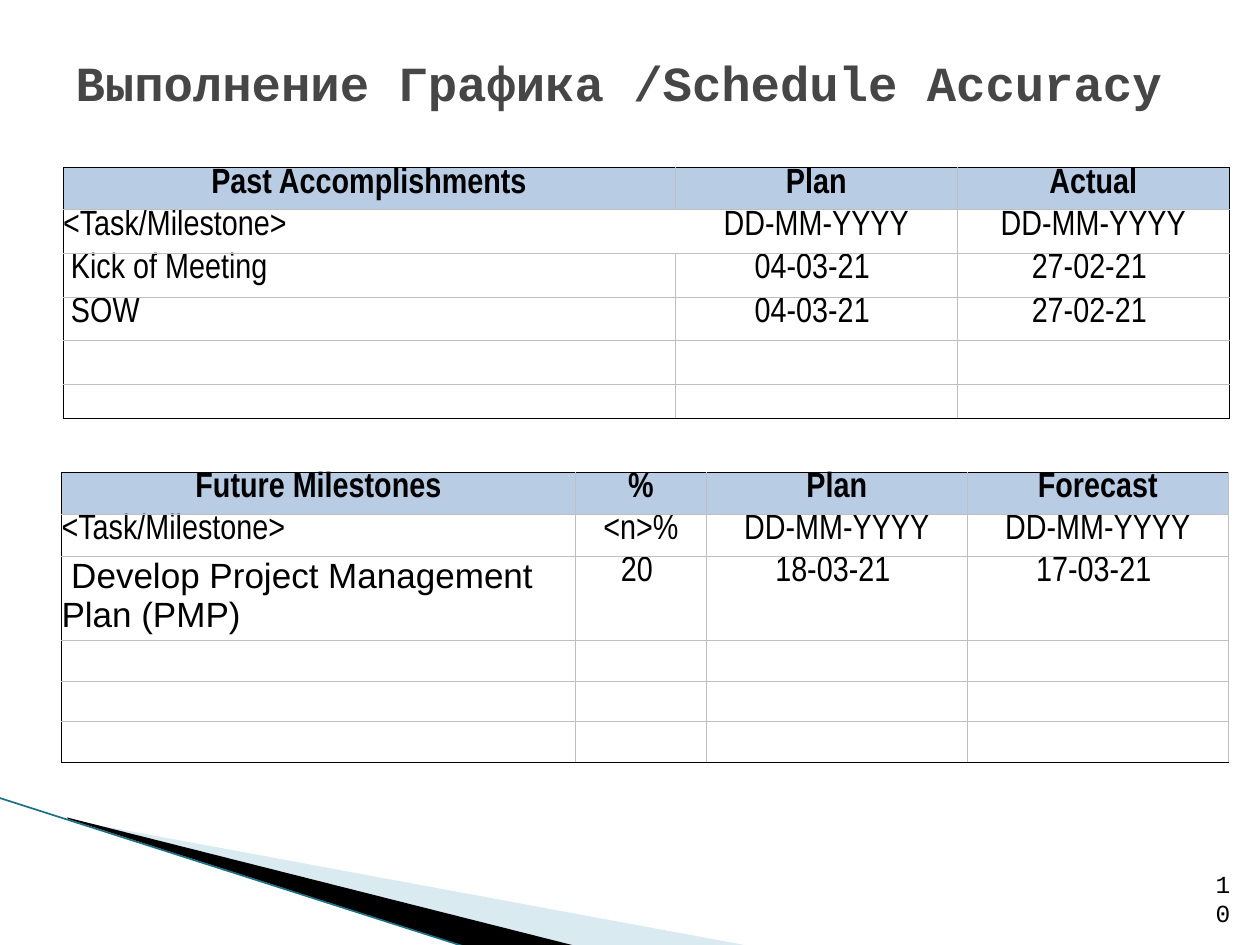
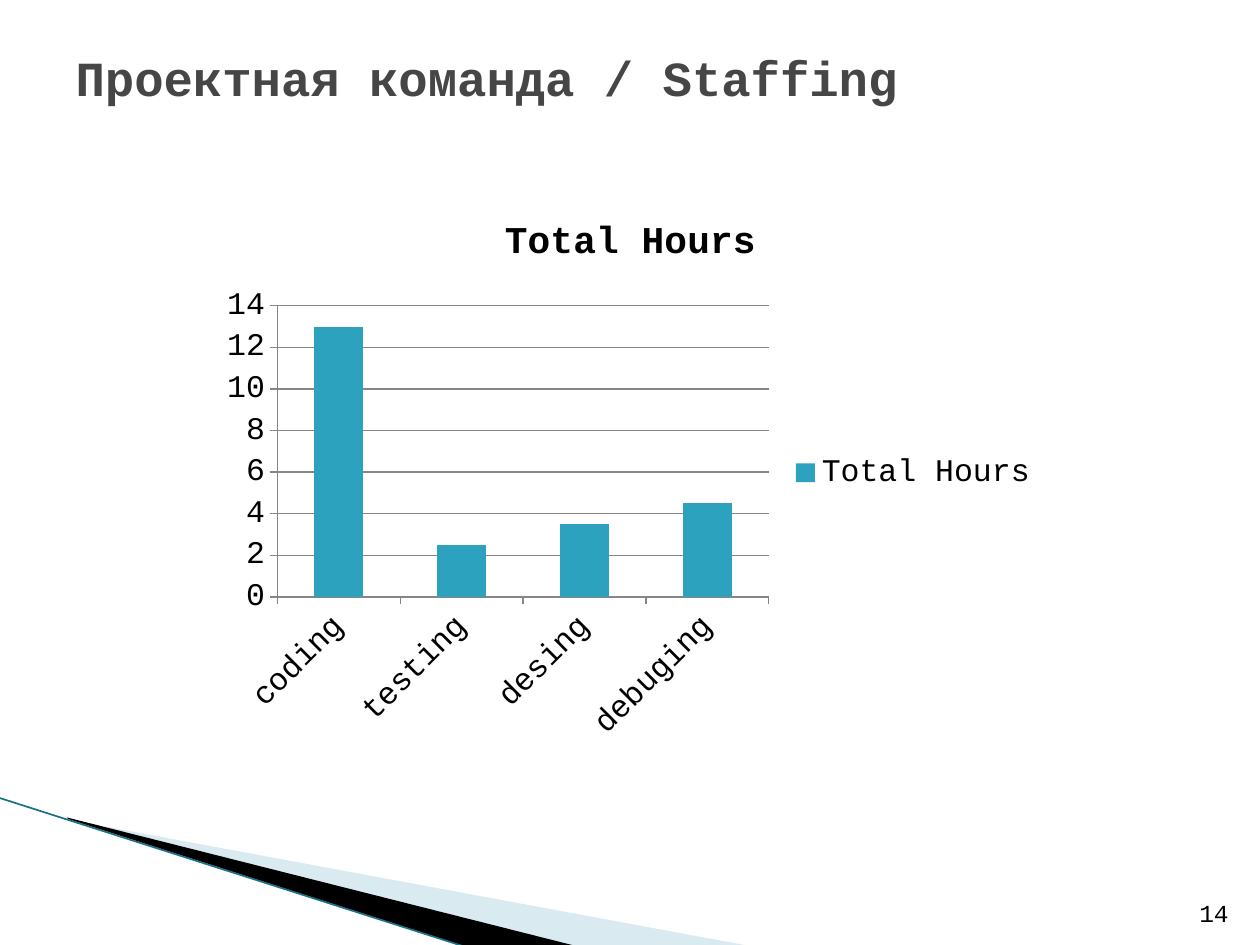
from lxml import etree
from pptx import Presentation
from pptx.chart.data import CategoryChartData
from pptx.dml.color import RGBColor as RGB
from pptx.enum.chart import XL_CHART_TYPE as CT, XL_LEGEND_POSITION as LP, XL_TICK_MARK as TM
from pptx.enum.shapes import MSO_CONNECTOR as CONN
from pptx.enum.text import MSO_ANCHOR as ANCHOR, PP_ALIGN as ALIGN
from pptx.oxml.ns import qn
from pptx.util import Cm, Pt

COLORS = {"title": "464646", "text": "000000", "header": "B8CCE4", "grid": "BFBFBF",
          "edge": "000000", "pale": "A0CBDC", "dark": "000000", "line": "1A7085",
          "bar": "2DA2BF", "axis": "868686"}
C = {name: RGB.from_string(value) for name, value in COLORS.items()}
MONO, NARROW, SANS = "Courier New", "Arial Narrow", "Arial"
TITLE_FONT = {"name": MONO, "size": Pt(28), "bold": True}
NUMBER_FONT = {"name": MONO, "size": Pt(14)}
HEADER_FONT = {"name": NARROW, "size": Pt(20), "bold": True}
BODY_FONT = {"name": NARROW, "size": Pt(20), "bold": False}
CHART_FONT = {"name": MONO, "size": Pt(18)}
CHART_TITLE_FONT = {"name": MONO, "size": Pt(21.6), "bold": True}


def set_font(font, values, color="text"):
    for key, value in values.items():
        setattr(font, key, value)
    font.color.rgb = C[color]


def set_borders(cell, borders):
    """Put lines on a cell; borders maps L, R, T, B to a colour name."""
    tc_pr = cell._tc.get_or_add_tcPr()
    for i, side in enumerate("LRTB"):
        ln = etree.Element(qn(f"a:ln{side}"), w=str(Pt(0.5)))
        if borders[side]:
            fill = etree.SubElement(ln, qn("a:solidFill"))
            etree.SubElement(fill, qn("a:srgbClr"), val=COLORS[borders[side]])
        else:
            etree.SubElement(ln, qn("a:noFill"))
        tc_pr.insert(i, ln)


prs = Presentation()
prs.slide_width, prs.slide_height = Cm(25.4), Cm(19.05)

# Shared parts: title, corner wedges, page number
WEDGES = [
    ("pale", [(1.4, 16.53), (15.11, 19.07), (11.58, 19.07), (1.4, 16.51)]),
    ("dark", [(1.35, 16.48), (11.61, 19.07), (9.45, 19.1), (1.37, 16.51)]),
]
PAGES = [
    ("Выполнение Графика /Schedule Accuracy", 1.78, "10", 24.03, 1.02),
    ("Проектная команда / Staffing", 1.57, "14", 23.7, 1.32),
]
slides = []
for title, title_height, number, number_left, number_width in PAGES:
    s = prs.slides.add_slide(prs.slide_layouts[5])
    slides.append(s)

    for color, points in WEDGES:
        corners = [(Cm(x), Cm(y)) for x, y in points]
        builder = s.shapes.build_freeform(*corners[0])
        builder.add_line_segments(corners[1:])
        sp = builder.convert_to_shape()
        sp.shadow.inherit = False
        sp.fill.solid()
        sp.fill.fore_color.rgb = C[color]
        sp.line.fill.background()
        if color == "pale":
            srgb = sp._element.spPr.find(".//" + qn("a:srgbClr"))
            etree.SubElement(srgb, qn("a:alpha"), val="40000")

    edge = s.shapes.add_connector(CONN.STRAIGHT, Cm(-0.03), Cm(16.08), Cm(9.42), Cm(19.1))
    edge.line.color.rgb = C["line"]
    edge.line.width = Pt(0.95)
    etree.SubElement(edge._element.spPr, qn("a:effectLst"))

    sp = s.shapes.title
    sp.left, sp.top, sp.width, sp.height = Cm(1.27), Cm(0.76), Cm(22.86), Cm(title_height)
    tf = sp.text_frame
    tf.text = title
    tf.word_wrap = True
    tf.vertical_anchor = ANCHOR.MIDDLE
    tf.paragraphs[0].alignment = ALIGN.LEFT
    set_font(tf.paragraphs[0].runs[0].font, TITLE_FONT, "title")

    sp = s.shapes.add_textbox(Cm(number_left), Cm(17.8), Cm(number_width), Cm(1.02))
    tf = sp.text_frame
    tf.text = number
    tf.word_wrap = True
    tf.vertical_anchor = ANCHOR.BOTTOM
    tf.paragraphs[0].alignment = ALIGN.RIGHT
    set_font(tf.paragraphs[0].runs[0].font, NUMBER_FONT)

# Slide 1: past and future milestones
PAST = [
    ["Past Accomplishments", "Plan", "Actual"],
    ["<Task/Milestone>", "DD-MM-YYYY", "DD-MM-YYYY"],
    [" Kick of Meeting", "04-03-21 ", "27-02-21 "],
    [" SOW", "04-03-21 ", "27-02-21 "],
    [""] * 3,
    [""] * 3,
]
PMP = " Develop Project Management Plan (PMP)"
FUTURE = [
    ["Future Milestones", "%", "Plan", "Forecast"],
    ["<Task/Milestone>", "<n>%", "DD-MM-YYYY", "DD-MM-YYYY"],
    [PMP, "20 ", "18-03-21 ", "17-03-21 "],
    [""] * 4,
    [""] * 4,
    [""] * 4,
]
TABLES = [  # rows, left, top, column widths, row heights, right edge colour
    (PAST, 1.27, 3.38, [12.34, 5.69, 5.48], [0.66, 0.88, 0.88, 0.88, 0.88, 0.69], "edge"),
    (FUTURE, 1.24, 9.52, [10.36, 2.64, 5.26, 5.26], [0.66, 0.82, 1.57, 0.82, 0.82, 0.82], "grid"),
]
for rows, left, top, widths, heights, right_edge in TABLES:
    last_row, last_col = len(rows) - 1, len(widths) - 1
    table = slides[0].shapes.add_table(len(rows), len(widths), Cm(left), Cm(top),
                                       Cm(sum(widths)), Cm(sum(heights))).table
    table.first_row = table.horz_banding = False
    for column, width in zip(table.columns, widths):
        column.width = Cm(width)
    for row, height in zip(table.rows, heights):
        row.height = Cm(height)

    for i, texts in enumerate(rows):
        for j, text in enumerate(texts):
            cell = table.cell(i, j)
            for side in ("left", "right", "top", "bottom"):
                setattr(cell, f"margin_{side}", 0)
            p = cell.text_frame.paragraphs[0]
            if text:
                p.alignment = ALIGN.CENTER if i == 0 or j else ALIGN.LEFT
                r = p.add_run()
                r.text = text
                set_font(r.font, BODY_FONT if i else HEADER_FONT)
                if text == PMP:
                    r.font.name = SANS
            else:
                etree.SubElement(p._p, qn("a:endParaRPr"), sz="1000")
            if i == 0:
                cell.fill.solid()
                cell.fill.fore_color.rgb = C["header"]
            else:
                cell.fill.background()
            borders = {"L": "grid" if j else "edge",
                       "R": right_edge if j == last_col else "grid",
                       "T": "grid" if i else "edge",
                       "B": "edge" if i == last_row else "grid"}
            if rows is PAST and i == 1 and j < 2:
                borders["L" if j else "R"] = None
            set_borders(cell, borders)

# Slide 2: hours by kind of work
data = CategoryChartData()
data.categories = ["coding", "testing", "desing", "debuging"]
data.add_series("Total Hours", [13, 2.5, 3.5, 4.5])
chart = slides[1].shapes.add_chart(CT.COLUMN_CLUSTERED, Cm(4.24), Cm(3.89),
                                   Cm(16.94), Cm(11.28), data).chart
set_font(chart.font, CHART_FONT)
chart.has_title = True
tf = chart.chart_title.text_frame
tf.text = "Total Hours"
set_font(tf.paragraphs[0].runs[0].font, CHART_TITLE_FONT)
chart.has_legend = True
chart.legend.position = LP.RIGHT
chart.legend.include_in_layout = False

plot = chart.plots[0]
plot.vary_by_categories = False
plot.gap_width = 150
bars = plot.series[0].format.fill
bars.solid()
bars.fore_color.rgb = C["bar"]

for axis in (chart.category_axis, chart.value_axis):
    axis.major_tick_mark = TM.OUTSIDE
    axis.minor_tick_mark = TM.NONE
    axis.format.line.color.rgb = C["axis"]
    set_font(axis.tick_labels.font, CHART_FONT)
chart.category_axis._element.txPr.find(qn("a:bodyPr")).set("rot", "-2700000")
chart.value_axis.major_gridlines.format.line.color.rgb = C["axis"]

prs.save("out.pptx")
